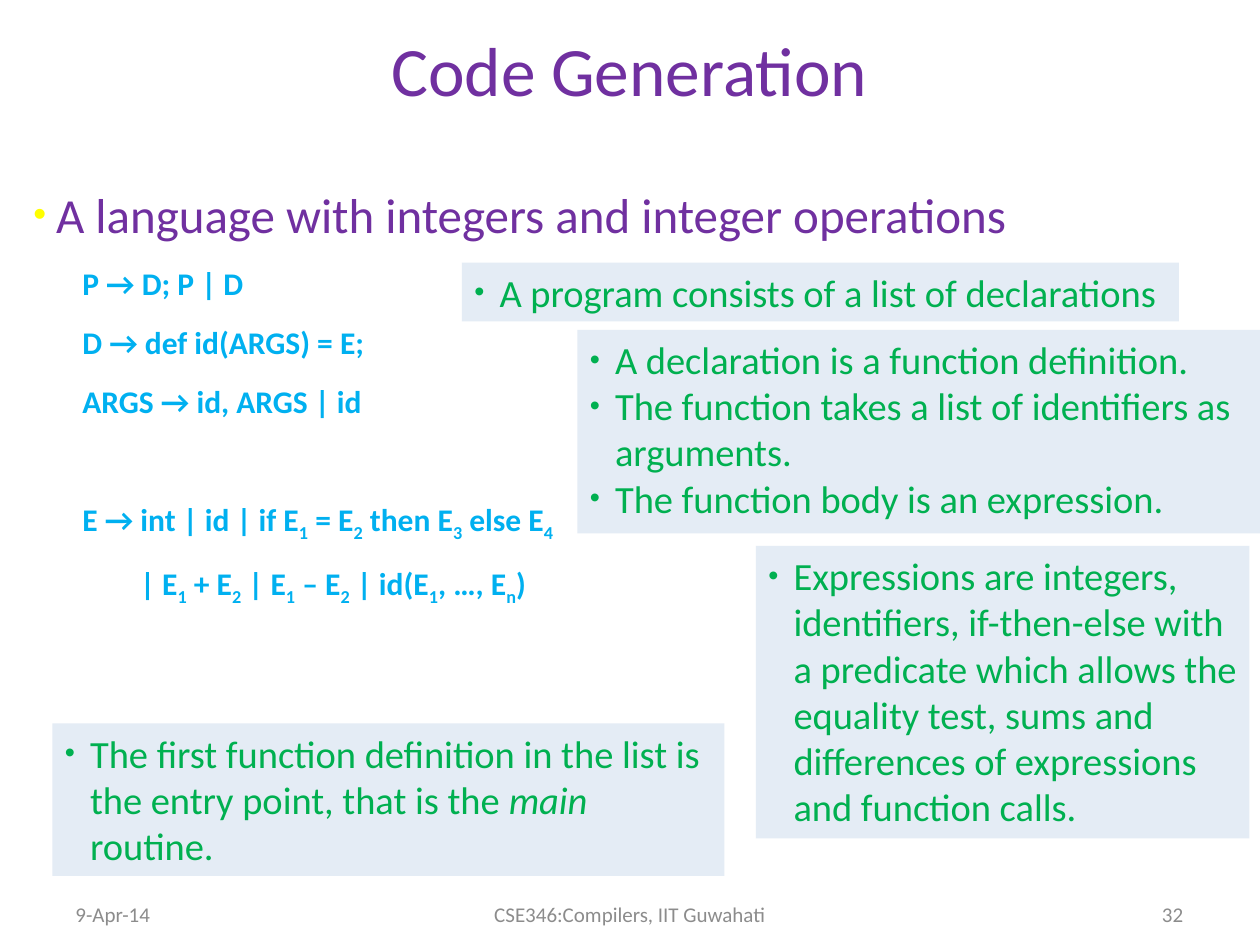
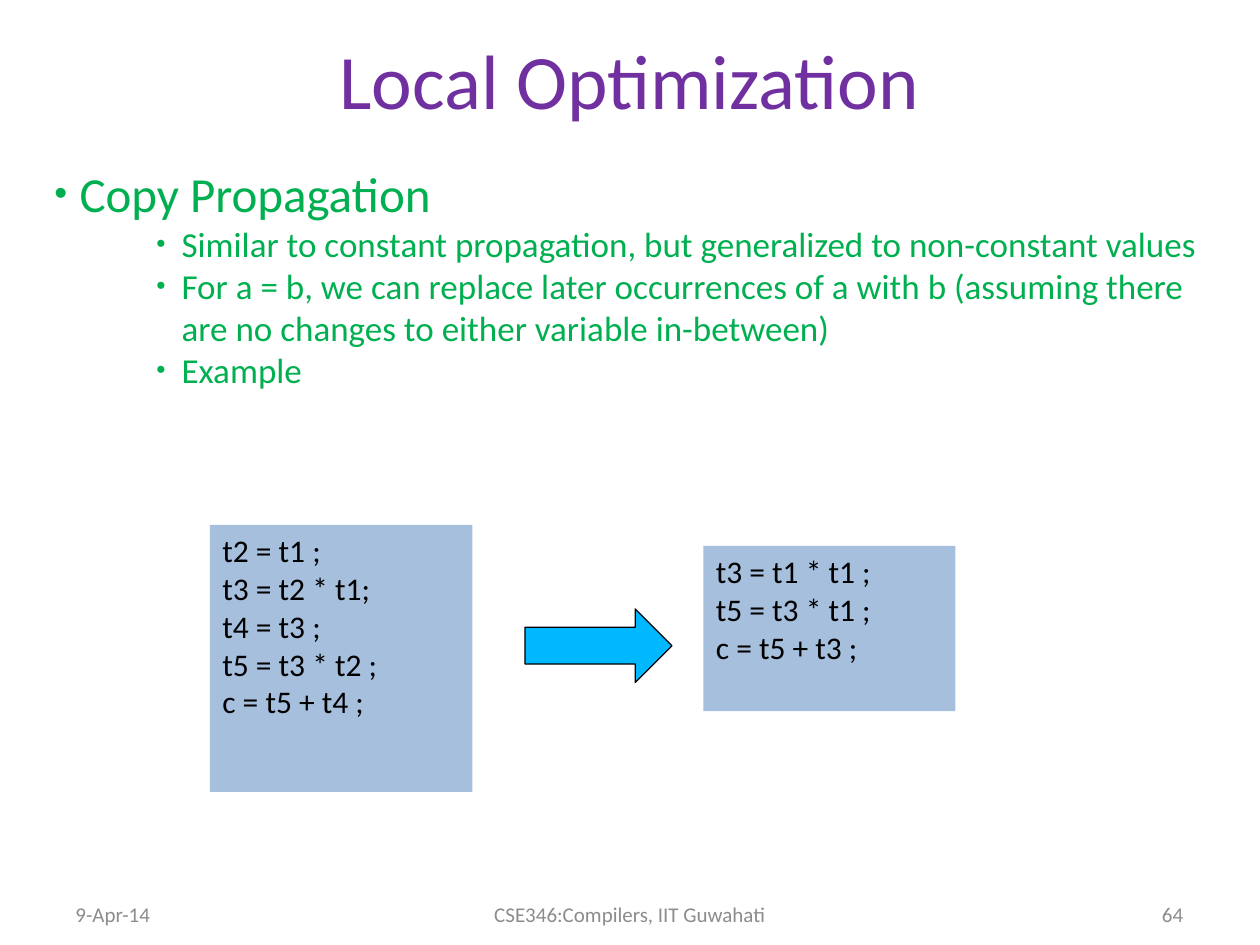
from lxml import etree
from pptx import Presentation
from pptx.dml.color import RGBColor
from pptx.enum.shapes import MSO_SHAPE
from pptx.enum.text import MSO_ANCHOR, PP_ALIGN
from pptx.oxml.ns import qn
from pptx.util import Pt

RECTANGLE, RIGHT_ARROW = MSO_SHAPE.RECTANGLE, MSO_SHAPE.RIGHT_ARROW
TOP, MIDDLE = MSO_ANCHOR.TOP, MSO_ANCHOR.MIDDLE
LEFT, CENTER, RIGHT = PP_ALIGN.LEFT, PP_ALIGN.CENTER, PP_ALIGN.RIGHT

FONT = "Calibri"
PURPLE, GREEN, SKY, YELLOW = "7030A0", "00B050", "00B0F0", "FFFF00"
BLACK, GREY, PANEL_BLUE, ARROW_BLUE = "000000", "8C8C8C", "4F81BD", "00B8FF"
HANG = 14.4
NOTE_SIZE, CODE_SIZE = 22, 18
FOOTER_TOP, FOOTER_HEIGHT = 510.5, 23.8


def color(hex_code):
    return RGBColor.from_string(hex_code)


def add_run(paragraph, text, size, ink, bold=False, italic=False, subscript=False):
    run = paragraph.add_run()
    run.text = text
    run.font.name = FONT
    run.font.size = Pt(size)
    run.font.bold = bold
    run.font.italic = italic
    run.font.color.rgb = color(ink)
    if subscript:
        run.font._element.set("baseline", "-25000")


def indent(paragraph, left, first=0):
    properties = paragraph._p.get_or_add_pPr()
    properties.set("marL", str(Pt(left)))
    properties.set("indent", str(Pt(first)))
    return properties


def add_bullet(paragraph, ink, left=HANG, hang=HANG):
    properties = indent(paragraph, left, -hang)
    bullet_color = etree.SubElement(properties, qn("a:buClr"))
    etree.SubElement(bullet_color, qn("a:srgbClr"), val=ink)
    etree.SubElement(properties, qn("a:buSzPct"), val="75000")
    etree.SubElement(properties, qn("a:buFont"), typeface="Arial")
    etree.SubElement(properties, qn("a:buChar"), char="•")


def next_paragraph(frame):
    first = frame.paragraphs[0]
    return frame.add_paragraph() if first.runs else first


def add_text_frame(slide, left, top, width, height, anchor=TOP):
    box = slide.shapes.add_textbox(Pt(left), Pt(top), Pt(width), Pt(height))
    box.text_frame.word_wrap = True
    box.text_frame.vertical_anchor = anchor
    return box.text_frame


def add_label(slide, bounds, text, size, ink, align):
    frame = add_text_frame(slide, *bounds, anchor=MIDDLE)
    frame.paragraphs[0].alignment = align
    add_run(frame.paragraphs[0], text, size, ink)


def add_base(deck, title, title_top, title_height, title_size, number):
    slide = deck.slides.add_slide(deck.slide_layouts[6])
    add_label(slide, (36, title_top, 647.3, title_height), title, title_size, PURPLE, CENTER)
    for left, width, text, align in (
        (36, 167, "9-Apr-14", LEFT),
        (516.2, 167, str(number), RIGHT),
        (246.2, 227.5, "CSE346:Compilers, IIT Guwahati", CENTER),
    ):
        bounds = (left, FOOTER_TOP, width, FOOTER_HEIGHT)
        add_label(slide, bounds, text, 12, GREY, align)
    return slide


def add_filled_shape(slide, preset, left, top, width, height, fill):
    shape = slide.shapes.add_shape(preset, Pt(left), Pt(top), Pt(width), Pt(height))
    shape.shadow.inherit = False
    shape.fill.solid()
    shape.fill.fore_color.rgb = color(fill)
    return shape


def add_panel(slide, bounds, opacity, wrap=True):
    panel = add_filled_shape(slide, RECTANGLE, *bounds, PANEL_BLUE)
    panel.line.fill.background()
    tint = panel._element.spPr.find(qn("a:solidFill"))[0]
    etree.SubElement(tint, qn("a:alpha"), val=str(opacity * 1000))
    panel.text_frame.word_wrap = wrap
    panel.text_frame.vertical_anchor = TOP
    return panel.text_frame


def add_note(slide, bounds, points, wrap=True):
    frame = add_panel(slide, bounds, 15, wrap)
    for point in points:
        paragraph = next_paragraph(frame)
        paragraph.alignment = LEFT
        add_bullet(paragraph, GREEN)
        for position, text in enumerate(point.split("*")):
            add_run(paragraph, text, NOTE_SIZE, GREEN, italic=position % 2 == 1)


def add_code(slide, bounds, lines):
    frame = add_panel(slide, bounds, 50)
    for line in lines:
        paragraph = next_paragraph(frame)
        paragraph.alignment = LEFT
        add_run(paragraph, line, CODE_SIZE, BLACK)


def add_production(frame, rule, left=28, space_before=12):
    paragraph = next_paragraph(frame)
    paragraph.space_before = Pt(space_before)
    indent(paragraph, left)
    start, *rest = rule.split("_")
    add_run(paragraph, start, CODE_SIZE, SKY, bold=True)
    for part in rest:
        add_run(paragraph, part[0], CODE_SIZE, SKY, bold=True, subscript=True)
        if part[1:]:
            add_run(paragraph, part[1:], CODE_SIZE, SKY, bold=True)


def build_code_generation(deck):
    slide = add_base(deck, "Code Generation", 12.2, 54, 39.6, 32)
    grammar = add_text_frame(slide, 12, 102, 690, 390)
    heading = next_paragraph(grammar)
    add_bullet(heading, YELLOW, 13, 13)
    add_run(heading, "A language with integers and integer operations", 28, PURPLE)
    add_production(grammar, "P → D; P | D")
    add_production(grammar, "D → def id(ARGS) = E;")
    add_production(grammar, "ARGS → id, ARGS | id")
    add_production(grammar, "E → int | id | if E_1 = E_2 then E_3 else E_4", space_before=46)
    add_production(grammar, "| E_1 + E_2 | E_1 – E_2 | id(E_1, …, E_n)", left=61)

    add_note(slide, (264, 150, 409.7, 33.6),
             ["A program consists of a list of declarations"], wrap=False)
    add_note(slide, (330, 188.5, 390, 116.3), [
        "A declaration is a function definition.",
        "The function takes a list of identifiers as arguments.",
        "The function body is an expression.",
    ])
    add_note(slide, (432, 312, 282, 167.2), [
        "Expressions are integers, identifiers, if-then-else with a predicate which "
        "allows the equality test, sums and differences of expressions and function calls.",
    ])
    add_note(slide, (30, 413.4, 384, 87.2), [
        "The first function definition in the list is the entry point, "
        "that is the *main* routine.",
    ])


def build_local_optimization(deck):
    slide = add_base(deck, "Local Optimization", 0, 90, 44, 64)
    outline = add_text_frame(slide, 24, 90, 678, 408)
    for text, size, left in (
        ("Copy Propagation", 28, HANG),
        ("Similar to constant propagation, but generalized to non-constant values", 20, 72.7),
        ("For a = b, we can replace later occurrences of a with b (assuming there are "
         "no changes to either variable in-between)", 20, 72.7),
        ("Example", 20, 72.7),
    ):
        paragraph = next_paragraph(outline)
        add_bullet(paragraph, GREEN, left)
        add_run(paragraph, text, size, GREEN)

    add_code(slide, (120, 300, 150, 152.6), [
        "t2 = t1 ;", "t3 = t2 * t1;", "t4 = t3 ;", "t5 = t3 * t2 ;", "c = t5 + t4 ;",
    ])
    add_code(slide, (402, 312, 144, 94.4), [
        "t3 = t1 * t1 ;", "t5 = t3 * t1 ;", "c = t5 + t3 ;",
    ])
    arrow = add_filled_shape(slide, RIGHT_ARROW, 300, 348, 84, 42, ARROW_BLUE)
    arrow.line.color.rgb = color(BLACK)
    arrow.line.width = Pt(0.75)


def main():
    deck = Presentation()
    deck.slide_width, deck.slide_height = Pt(720), Pt(540)
    build_code_generation(deck)
    build_local_optimization(deck)
    deck.save("out.pptx")


if __name__ == "__main__":
    main()
